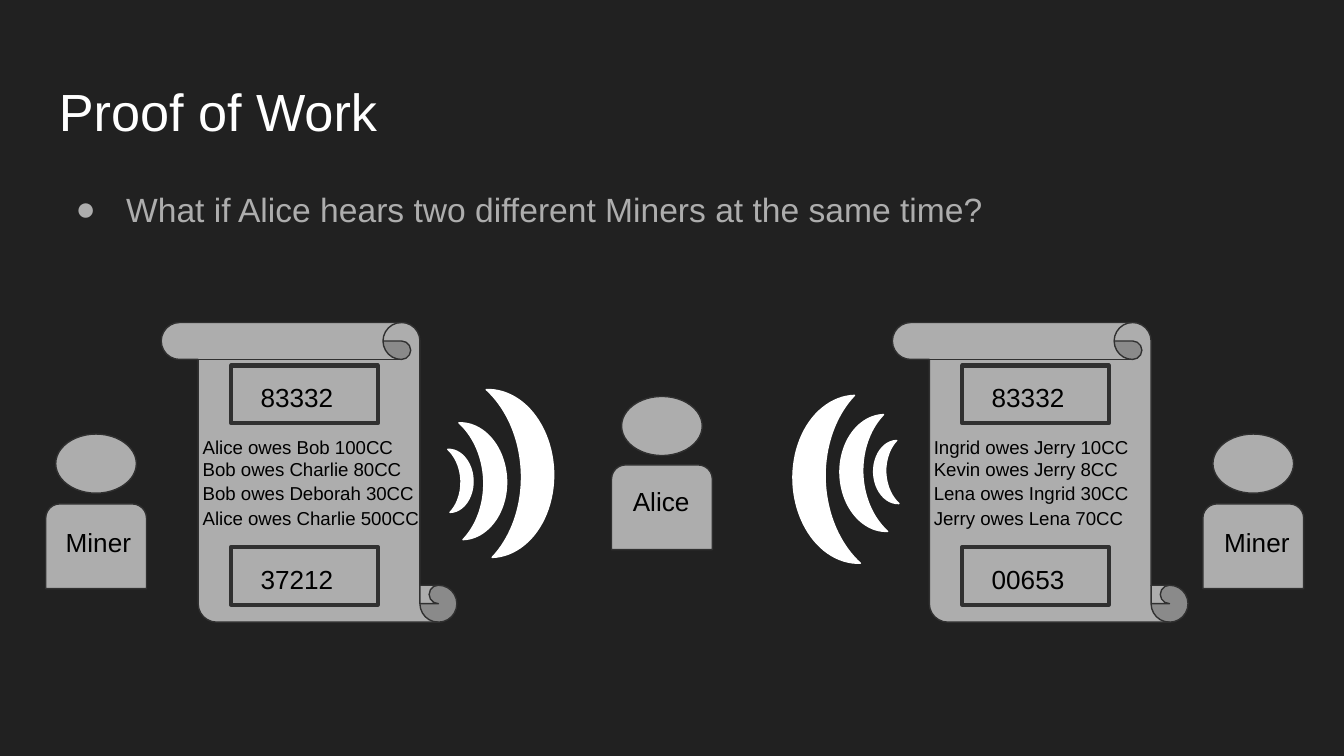
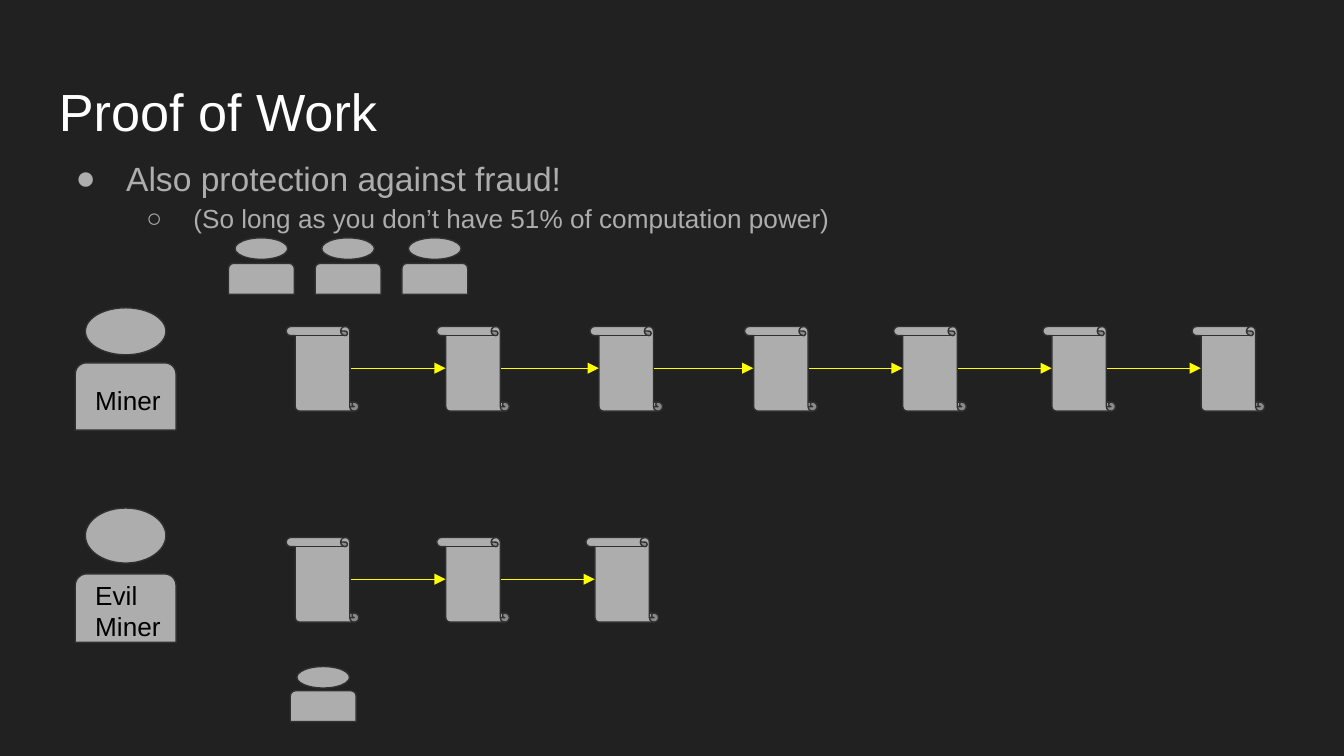
from itertools import pairwise

from lxml.etree import SubElement as Sub
from pptx import Presentation
from pptx.dml.color import RGBColor as Rgb
from pptx.enum.shapes import MSO_CONNECTOR as Link, MSO_SHAPE as Kind
from pptx.oxml.ns import qn
from pptx.util import Inches, Pt

HUES = {"back": "212121", "grey": "ADADAD", "edge": "303030",
        "white": "FFFFFF", "black": "000000", "arrow": "FFFF00"}
FONT = "Arial"

deck = Presentation()
deck.slide_width, deck.slide_height = Inches(10), Inches(5.625)
CELL = deck.slide_width / 100  # square grid, 100 columns by 56.25 rows


def draw(page, kind, spot, fill="grey", edge="edge", thick=0.75, flip=False, turn=0):
    """Add a filled preset shape; spot is left, top, width, height in cells."""
    item = page.shapes.add_shape(kind, *[round(n * CELL) for n in spot])
    item.shadow.inherit = False
    item.fill.solid()
    item.fill.fore_color.rgb = Rgb.from_string(HUES[fill])
    item.line.color.rgb = Rgb.from_string(HUES[edge])
    item.line.width = Pt(thick)
    item.rotation = turn
    if flip:
        item.element.spPr.find(qn("a:xfrm")).set("flipH", "1")


def write(page, spot, lines, size, hue="black"):
    """Add a text box with one paragraph per line and return its paragraphs."""
    frame = page.shapes.add_textbox(*[round(n * CELL) for n in spot]).text_frame
    frame.word_wrap = True
    frame.margin_left = frame.margin_right = round(CELL)
    frame.margin_top = frame.margin_bottom = round(CELL)
    for i, line in enumerate(lines):
        para = frame.add_paragraph() if i else frame.paragraphs[0]
        run = para.add_run()
        run.text = line
        run.font.name, run.font.size = FONT, Pt(size)
        run.font.color.rgb = Rgb.from_string(HUES[hue])
    return frame.paragraphs


# Background, title and bullets of both slides
LEVELS = [("●", 5, 3.75, 18), ("○", 10, 3.5, 14)]  # mark, margin, hang, size
heads = [
    (12.6, ["What if Alice hears two different Miners at the same time?"]),
    (10.3, ["Also protection against fraud!",
            "(So long as you don’t have 51% of computation power)"]),
]
pages = []
for top, points in heads:
    page = deck.slides.add_slide(deck.slide_layouts[6])
    page.background.fill.solid()
    page.background.fill.fore_color.rgb = Rgb.from_string(HUES["back"])
    write(page, (3.4, 4.9, 93.2, 6.3), ["Proof of Work"], 28, "white")
    paras = write(page, (3.4, top, 93.2, 5), points, 18, "grey")
    for depth, (para, (mark, left, hang, size)) in enumerate(zip(paras, LEVELS)):
        para.level, para.line_spacing = depth, 1.15
        para.runs[0].font.size = Pt(size)
        props = para._p.get_or_add_pPr()
        props.set("marL", str(round(left * CELL)))
        props.set("indent", str(round(-hang * CELL)))
        Sub(Sub(props, qn("a:buClr")), qn("a:srgbClr")).set("val", HUES["grey"])
        Sub(props, qn("a:buFont")).set("typeface", FONT)
        Sub(props, qn("a:buChar")).set("char", mark)
    pages.append(page)
duel, chain = pages

# The two ledgers: left, last number, debts
ledgers = [
    (12, "37212", ["Alice owes Bob 100CC", "Bob owes Charlie 80CC",
                   "Bob owes Deborah 30CC", "Alice owes Charlie 500CC"]),
    (66.4, "00653", ["Ingrid owes Jerry 10CC", "Kevin owes Jerry 8CC",
                     "Lena owes Ingrid 30CC", "Jerry owes Lena 70CC"]),
]
for left, proof, debts in ledgers:
    draw(duel, Kind.VERTICAL_SCROLL, (left, 24, 22, 22.3), flip=True)
    for top, code in [(27.2, "83332"), (40.7, proof)]:
        draw(duel, Kind.RECTANGLE, (left + 5.2, top, 10.9, 4.3), thick=2.25)
        write(duel, (left + 6.4, top + 0.2, 8.1, 3.4), [code], 14)
    for top, debt in zip((31.6, 33.2, 35, 36.9), debts):
        write(duel, (left + 2.1, top, 22, 3.3), [debt], 10)

# Sound waves, small to large, from both sides
waves = [
    (358, [(33.4, 33.4, 1.8, 4.7), (34.3, 31.4, 3.4, 8.7), (36.4, 28.9, 4.8, 12.5)]),
    (178, [(65, 32.8, 1.8, 4.7), (62.5, 30.9, 3.4, 8.7), (59, 29.5, 4.8, 12.5)]),
]
for turn, spots in waves:
    for spot in spots:
        draw(duel, Kind.MOON, spot, "white", "white", flip=True, turn=turn)

# People: page, left, head top, head height, body top, width, body height
people = [
    (duel, 3.4, 32.3, 4.4, 37.5, 7.5, 6.3),
    (duel, 89.5, 32.3, 4.4, 37.5, 7.5, 6.3),
    (duel, 45.5, 29.5, 4.4, 34.6, 7.5, 6.3),
    (chain, 5.6, 22.9, 3.5, 27, 7.5, 5),
    (chain, 5.6, 37.8, 4.1, 42.7, 7.5, 5.1),
    (chain, 21.6, 49.6, 1.6, 51.4, 4.9, 2.3),
]
people += [(chain, 17 + 6.45 * i, 17.7, 1.6, 19.6, 4.9, 2.3) for i in range(3)]
for page, left, crown, face, top, wide, high in people:
    draw(page, Kind.ROUND_2_SAME_RECTANGLE, (left, top, wide, high))
    draw(page, Kind.OVAL, (left + wide / 10, crown, wide * 0.8, face))

# Names on the large people
names = [
    (duel, (3.9, 38.2, 8.1, 4.9), ["Miner"]),
    (duel, (90.1, 38.2, 8.1, 4.9), ["Miner"]),
    (duel, (46.1, 35.1, 6.5, 4.9), ["Alice"]),
    (chain, (6.1, 27.6, 8.1, 3.9), ["Miner"]),
    (chain, (6.1, 42.1, 8.1, 4.6), ["Evil", "Miner"]),
]
for page, spot, name in names:
    write(page, spot, name, 14)

# Block chains: top, lefts of the blocks
rows = [(24.3, [21.3, 32.5, 43.9, 55.4, 66.5, 77.6, 88.7]),
        (40, [21.3, 32.5, 43.6])]
for top, lefts in rows:
    for left in lefts:
        draw(chain, Kind.VERTICAL_SCROLL, (left, top, 5.4, 6.3), flip=True)
    for start, end in pairwise(lefts):
        ends = (start + 4.8, top + 3.1, end + 0.65, top + 3.1)
        link = chain.shapes.add_connector(Link.STRAIGHT, *[round(n * CELL) for n in ends])
        link.line.color.rgb = Rgb.from_string(HUES["arrow"])
        link.line.width = Pt(0.75)
        Sub(link.line._get_or_add_ln(), qn("a:tailEnd")).set("type", "triangle")
        Sub(link.element.spPr, qn("a:effectLst"))

deck.save("out.pptx")
